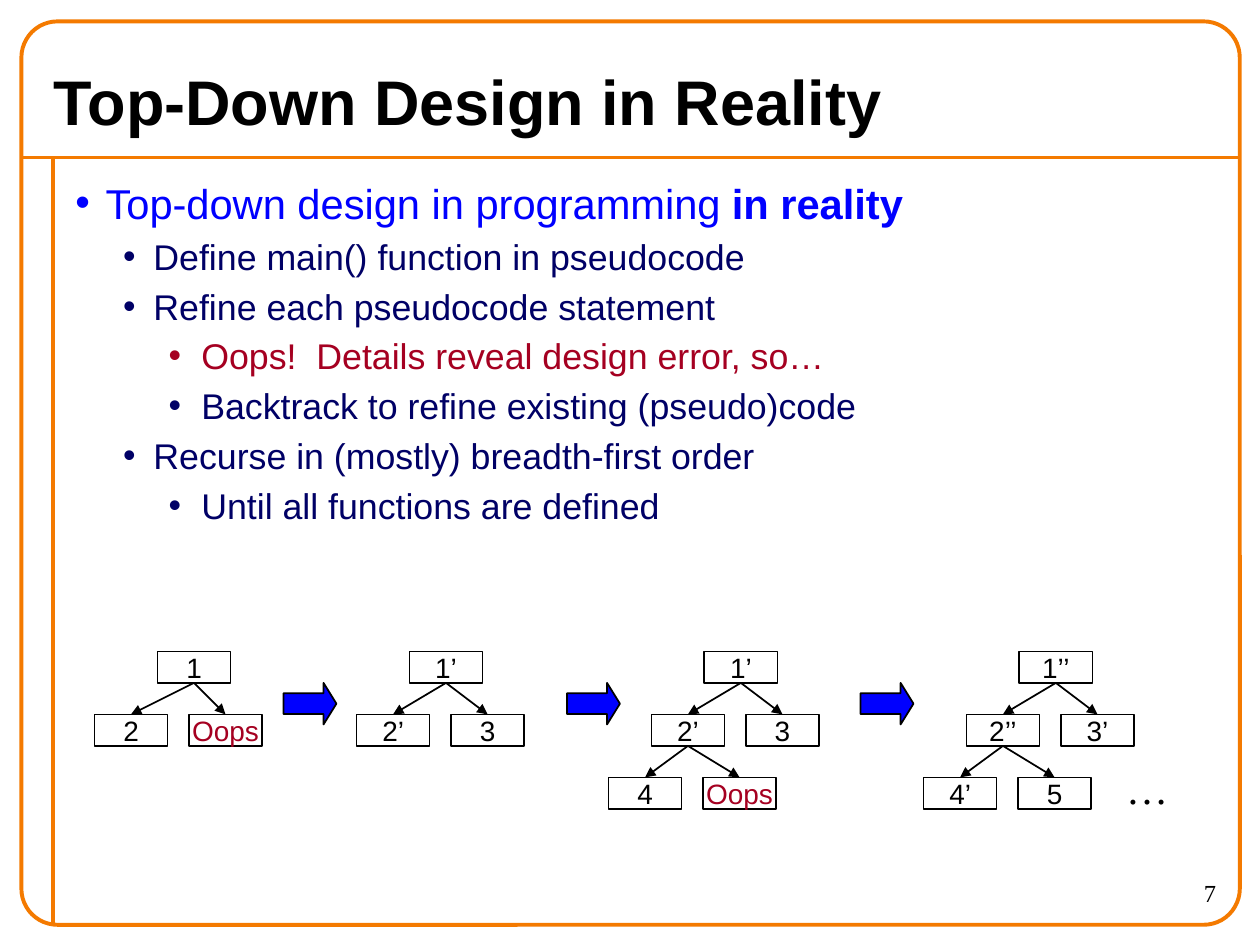
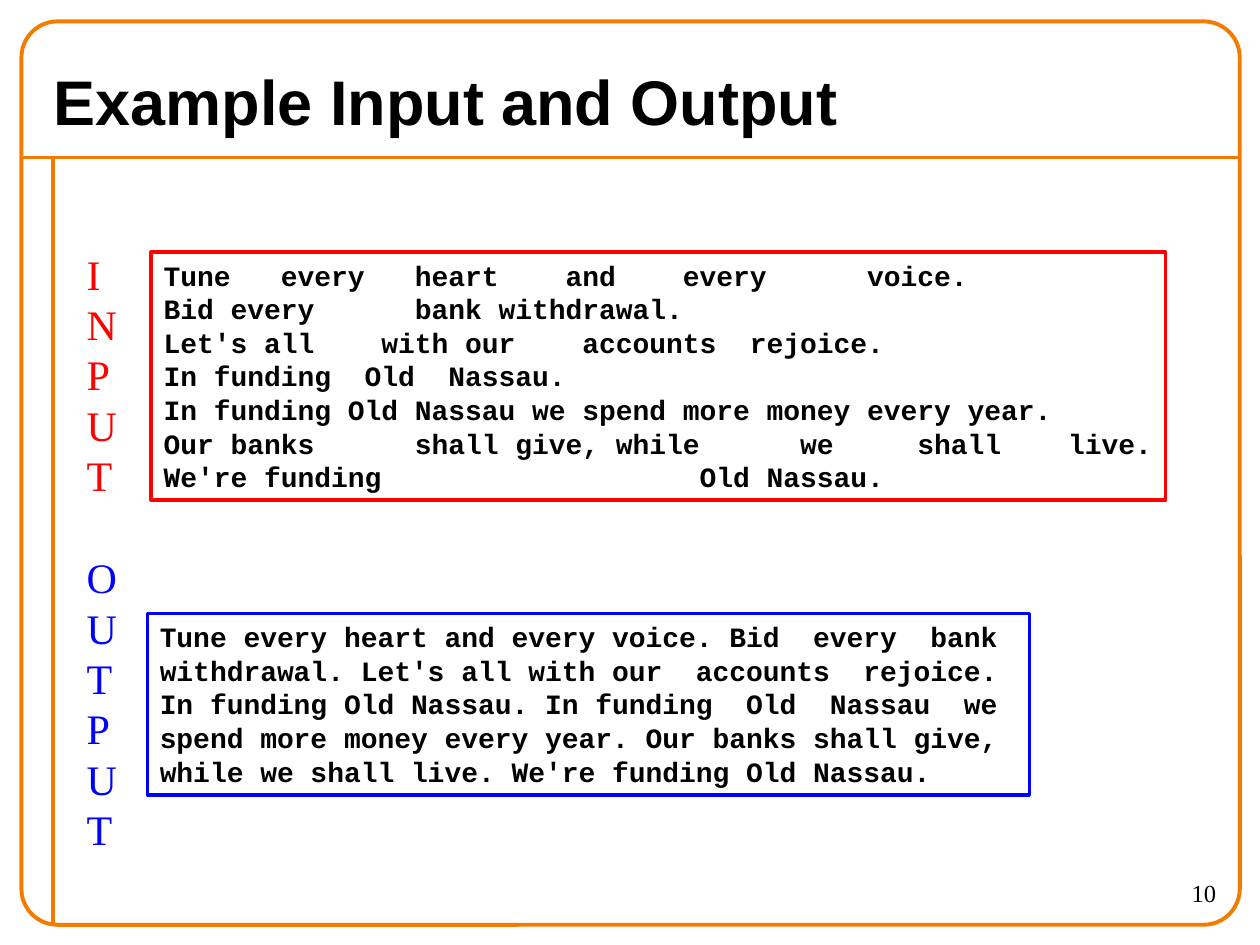
from pptx import Presentation
from pptx.dml.color import RGBColor
from pptx.enum.shapes import MSO_CONNECTOR, MSO_SHAPE
from pptx.enum.text import MSO_ANCHOR, PP_ALIGN
from pptx.oxml.ns import qn
from pptx.util import Inches, Pt
from lxml import etree

RECT, ROUND, ARROW = MSO_SHAPE.RECTANGLE, MSO_SHAPE.ROUNDED_RECTANGLE, MSO_SHAPE.RIGHT_ARROW
STRAIGHT = MSO_CONNECTOR.STRAIGHT
LEFT, CENTER, RIGHT = PP_ALIGN.LEFT, PP_ALIGN.CENTER, PP_ALIGN.RIGHT
TOP, MIDDLE = MSO_ANCHOR.TOP, MSO_ANCHOR.MIDDLE

BLACK, ORANGE, BLUE, NAVY, CRIMSON, RED = "000000", "F47A00", "0000FF", "000066", "A50021", "FF0000"
SANS, SERIF, MONO = "Arial", "Times New Roman", "Courier New"

NODE_W, NODE_H = 0.58, 0.25
NODE_STEP, LEVEL_STEP = 0.75, 0.5

BULLETS = [
    (0, [("Top-down design in programming ", False), ("in reality", True)], BLUE),
    (1, [("Define main() function in pseudocode", False)], NAVY),
    (1, [("Refine each pseudocode statement", False)], NAVY),
    (2, [("Oops!  Details reveal design error, so…", False)], CRIMSON),
    (2, [("Backtrack to refine existing (pseudo)code", False)], NAVY),
    (1, [("Recurse in (mostly) breadth-first order", False)], NAVY),
    (2, [("Until all functions are defined", False)], NAVY),
]
LEVELS = [(0.24, 0.24, 23.8), (0.62, 0.24, 20.4), (1, 0.26, 20.4)]

TREES = [
    (0.75, 0.5, ["1", "2", "Oops"]),
    (2.83, 0.42, ["1’", "2’", "3"]),
    (5.17, 0.42, ["1’", "2’", "3", "4", "Oops"]),
    (7.67, 0.42, ["1’’", "2’’", "3’", "4’", "5"]),
]
STEP_ARROWS = [2.25, 4.5, 6.83]

INPUT_LINES = [
    "Tune   every   heart    and    every      voice.",
    "Bid every      bank withdrawal.",
    "Let's all    with our    accounts  rejoice.",
    "In funding  Old  Nassau.",
    "In funding Old Nassau we spend more money every year.",
    "Our banks      shall give, while      we     shall    live.",
    "We're funding                   Old Nassau.",
]
OUTPUT_LINES = [
    "Tune every heart and every voice. Bid  every  bank",
    "withdrawal. Let's all with our  accounts  rejoice.",
    "In funding Old Nassau. In funding  Old  Nassau  we",
    "spend more money every year. Our banks shall give,",
    "while we shall live. We're funding Old Nassau.",
]


def rgb(color):
    return RGBColor.from_string(color)


def inches(box):
    return [Inches(v) for v in box]


def add_run(p, text, size, color, font=SANS, bold=False):
    r = p.add_run()
    r.text = text
    r.font.size, r.font.name, r.font.bold = Pt(size), font, bold
    r.font.color.rgb = rgb(color)


def write(sp, lines, size=16, color=BLACK, font=SANS, bold=False,
          align=LEFT, anchor=TOP, wrap=False):
    tf = sp.text_frame
    tf.word_wrap, tf.vertical_anchor = wrap, anchor
    for i, line in enumerate(lines):
        p = tf.paragraphs[0] if i == 0 else tf.add_paragraph()
        p.alignment = align
        add_run(p, line, size, color, font, bold)


def add_text(s, box, lines, **fmt):
    write(s.shapes.add_textbox(*inches(box)), lines, **fmt)


def add_shape(s, kind, box, line=BLACK, width=1, fill=None):
    sp = s.shapes.add_shape(kind, *inches(box))
    sp.shadow.inherit = False
    if fill:
        sp.fill.solid()
        sp.fill.fore_color.rgb = rgb(fill)
    else:
        sp.fill.background()
    sp.line.color.rgb, sp.line.width = rgb(line), Pt(width)
    return sp


def add_line(s, start, end, color=BLACK, width=1, arrow=False):
    cn = s.shapes.add_connector(STRAIGHT, *inches(start + end))
    cn.line.color.rgb, cn.line.width = rgb(color), Pt(width)
    spPr = cn._element.spPr
    if arrow:
        etree.SubElement(spPr.find(qn("a:ln")), qn("a:tailEnd"), type="triangle")
    etree.SubElement(spPr, qn("a:effectLst"))


def add_bullet(p, color, margin, hang):
    pPr = p._p.get_or_add_pPr()
    pPr.set("marL", str(Inches(margin)))
    pPr.set("indent", str(-Inches(hang)))
    clr = etree.SubElement(pPr, qn("a:buClr"))
    etree.SubElement(clr, qn("a:srgbClr"), val=color)
    etree.SubElement(pPr, qn("a:buFont"), typeface=SANS)
    etree.SubElement(pPr, qn("a:buChar"), char="•")


def base_slide(prs, title, number):
    s = prs.slides.add_slide(prs.slide_layouts[6])
    add_line(s, (0.17, 1.25), (9.83, 1.25), ORANGE, 2.25)
    add_line(s, (0.42, 1.25), (0.42, 7.33), ORANGE, 2.25)
    frame = add_shape(s, ROUND, (0.17, 0.17, 9.67, 7.17), ORANGE, 2.25)
    frame.adjustments[0] = 0.04
    add_text(s, (0.33, 0.42, 9.33, 0.75), [title], size=36, bold=True,
             anchor=MIDDLE, wrap=True)
    add_text(s, (8.75, 6.92, 1, 0.42), [str(number)], size=14, font=SERIF,
             align=RIGHT, wrap=True)
    return s


def bullet_list(s, box):
    tf = s.shapes.add_textbox(*inches(box)).text_frame
    tf.word_wrap = True
    for i, (level, runs, color) in enumerate(BULLETS):
        p = tf.add_paragraph() if i else tf.paragraphs[0]
        margin, hang, size = LEVELS[level]
        p.level = level
        p.space_before = Pt(4 if i else 0)
        add_bullet(p, color, margin, hang)
        for text, bold in runs:
            add_run(p, text, size, color, bold=bold)


def node(s, x, y, label):
    sp = add_shape(s, RECT, (x, y, NODE_W, NODE_H))
    write(sp, [label], color=CRIMSON if label == "Oops" else BLACK,
          align=CENTER, anchor=MIDDLE)


def children(s, parent_x, parent_y, first_x, labels):
    mid = NODE_W / 2
    y = parent_y + LEVEL_STEP
    for i, label in enumerate(labels):
        x = first_x + i * NODE_STEP
        node(s, x, y, label)
        add_line(s, (parent_x + mid, parent_y + NODE_H), (x + mid, y), arrow=True)


def design_tree(s, left, top, root_dx, labels):
    node(s, left + root_dx, top, labels[0])
    children(s, left + root_dx, top, left, labels[1:3])
    children(s, left, top + LEVEL_STEP, left - 0.34, labels[3:])


def tree_row(s, top):
    for left, root_dx, labels in TREES:
        design_tree(s, left, top, root_dx, labels)
    for x in STEP_ARROWS:
        sp = add_shape(s, ARROW, (x, top + NODE_H, 0.42, 0.33), fill=BLUE)
        sp.adjustments[1] = 0.31
    add_text(s, (8.84, top + 0.83, 0.53, 0.5), ["…"], size=24, font=SERIF)


def sample(s, box, lines, label, label_top, color):
    write(add_shape(s, RECT, box, color, 2), lines, font=MONO, bold=True)
    add_text(s, (0.59, label_top, 0.44, 0.1 + 0.4 * len(label)), label,
             size=24, font=SERIF, color=color)


def main():
    prs = Presentation()
    prs.slide_width, prs.slide_height = Inches(10), Inches(7.5)

    s = base_slide(prs, "Top-Down Design in Reality", 7)
    bullet_list(s, (0.5, 1.36, 9.17, 2.81))
    tree_row(s, 5.17)

    s = base_slide(prs, "Example Input and Output", 10)
    sample(s, (1.2, 2, 8.05, 1.97), INPUT_LINES, "INPUT", 1.92, RED)
    sample(s, (1.17, 4.87, 7, 1.44), OUTPUT_LINES, "OUTPUT", 4.33, BLUE)

    prs.save("out.pptx")


if __name__ == "__main__":
    main()
